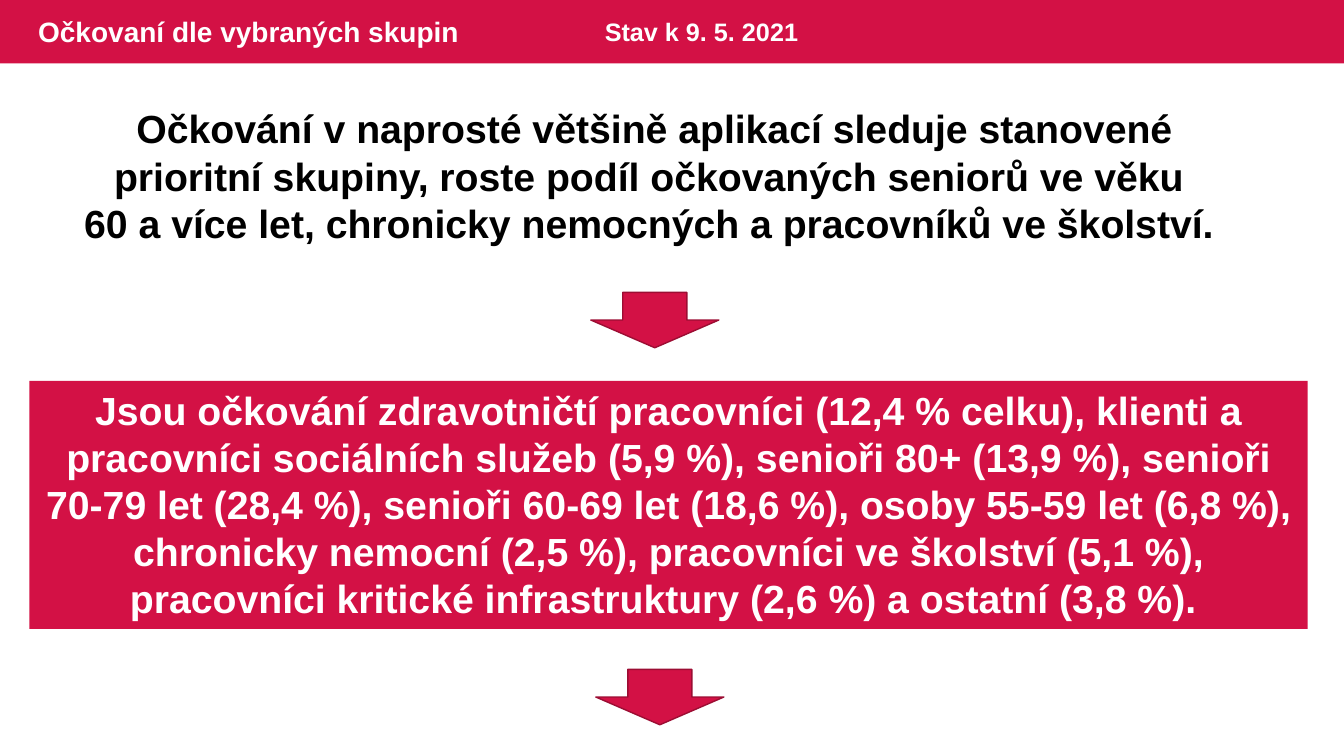
from dataclasses import dataclass

import pptx
import pptx.dml.color
import pptx.enum.shapes
import pptx.enum.text
import pptx.util
from pptx.util import Inches

SHAPES = pptx.enum.shapes.MSO_SHAPE
ALIGN = pptx.enum.text.PP_ALIGN
ANCHOR = pptx.enum.text.MSO_ANCHOR


@dataclass(frozen=True)
class Theme:
    font: str = "Arial"
    crimson: str = "D31145"
    dark_crimson: str = "9C0D33"
    white: str = "FFFFFF"
    black: str = "000000"
    title_size: int = 20
    date_size: int = 18
    body_size: int = 28


THEME = Theme()

SUMMARY = (
    "Očkování v naprosté většině aplikací sleduje stanovené prioritní skupiny, "
    "roste podíl očkovaných seniorů ve věku ",
    "60 a více let, chronicky nemocných a pracovníků ve školství. ",
)
GROUP_SHARES = (
    "Jsou očkování zdravotničtí pracovníci (12,4 % celku), klienti a pracovníci "
    "sociálních služeb (5,9 %), senioři 80+ (13,9 %), senioři 70-79 let (28,4 %), "
    "senioři 60-69 let (18,6 %), osoby 55-59 let (6,8 %), chronicky nemocní (2,5 %), "
    "pracovníci ve školství (5,1 %), pracovníci kritické infrastruktury (2,6 %) "
    "a ostatní (3,8 %). ",
)


def rgb(color):
    return pptx.dml.color.RGBColor.from_string(color)


def write_text(shape, lines, size, color, align=ALIGN.LEFT, anchor=ANCHOR.TOP):
    """Fill a shape with bold, wrapped text, one paragraph per line."""
    text_frame = shape.text_frame
    text_frame.word_wrap = True
    text_frame.vertical_anchor = anchor
    text_frame.text = "\n".join(lines)
    for paragraph in text_frame.paragraphs:
        paragraph.alignment = align
        for run in paragraph.runs:
            run.font.name = THEME.font
            run.font.size = pptx.util.Pt(size)
            run.font.bold = True
            run.font.color.rgb = rgb(color)


def add_text(slide, box, lines, size, color, **layout):
    shape = slide.shapes.add_textbox(*map(Inches, box))
    write_text(shape, lines, size, color, **layout)


def add_crimson_shape(slide, kind, box, outline=None):
    shape = slide.shapes.add_shape(kind, *map(Inches, box))
    shape.shadow.inherit = False
    shape.fill.solid()
    shape.fill.fore_color.rgb = rgb(THEME.crimson)
    if outline:
        shape.line.color.rgb = rgb(outline)
        shape.line.width = pptx.util.Pt(1)
    else:
        shape.line.fill.background()
    return shape


def add_down_arrow(slide, left, top):
    add_crimson_shape(slide, SHAPES.DOWN_ARROW, (left, top, 1.27, 0.55), THEME.dark_crimson)


def main():
    presentation = pptx.Presentation()
    presentation.slide_width = Inches(13.33)
    presentation.slide_height = Inches(7.5)
    slide = presentation.slides.add_slide(presentation.slide_layouts[6])

    # Header band with title and date
    add_crimson_shape(slide, SHAPES.RECTANGLE, (0, 0, 13.33, 0.63))
    add_text(slide, (0.28, 0, 8.13, 0.63), ["Očkovaní dle vybraných skupin"],
             THEME.title_size, THEME.white, anchor=ANCHOR.MIDDLE)
    add_text(slide, (5.9, 0.11, 2.96, 0.4), ["Stav k 9. 5. 2021"],
             THEME.date_size, THEME.white)

    # Summary statement
    add_text(slide, (0.7, 0.99, 11.58, 1.51), SUMMARY,
             THEME.body_size, THEME.black, align=ALIGN.CENTER)
    add_down_arrow(slide, 5.86, 2.9)

    # Shares of the vaccinated groups
    panel = add_crimson_shape(slide, SHAPES.RECTANGLE, (0.29, 3.78, 12.68, 2.46))
    write_text(panel, GROUP_SHARES, THEME.body_size, THEME.white, align=ALIGN.CENTER)
    add_down_arrow(slide, 5.91, 6.64)

    presentation.save("out.pptx")


if __name__ == "__main__":
    main()
